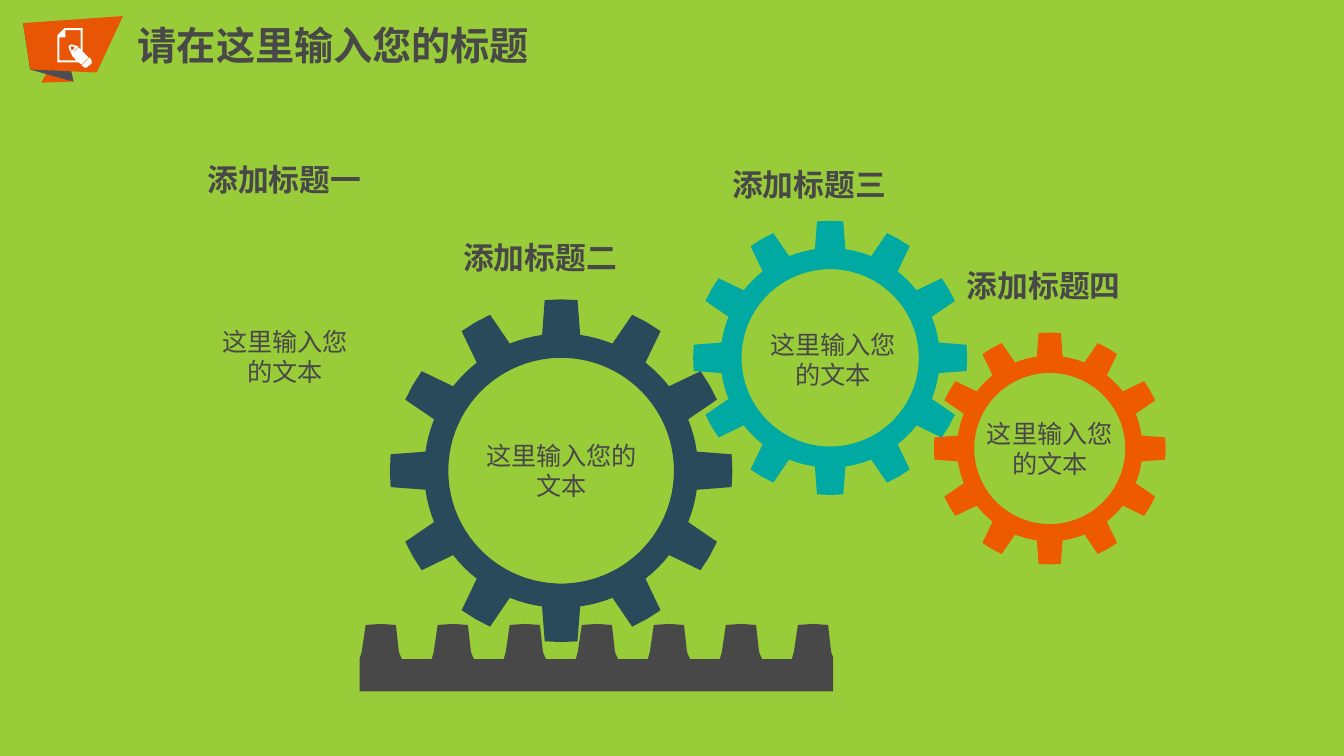
import math
from lxml import etree
from pptx import Presentation
from pptx import util as u
from pptx.dml.color import RGBColor
from pptx.enum import text
from pptx.oxml import ns

LIME = RGBColor(0x99, 0xCC, 0x39)
FLAME = RGBColor(0xE8, 0x55, 0x04)
SLATE = RGBColor(0x49, 0x4F, 0x54)
WHITE = RGBColor(0xFF, 0xFF, 0xFF)
CHARCOAL = RGBColor(0x48, 0x48, 0x49)
ORANGE = RGBColor(0xED, 0x5A, 0x00)
TEAL = RGBColor(0x00, 0xAA, 0xA2)
NAVY = RGBColor(0x29, 0x4A, 0x5A)
FONT = "Noto Sans CJK SC"

HEADING = {"size": u.Pt(22), "bold": True}
BODY = {"size": u.Pt(18), "bold": False}
FRAME = {"word_wrap": True, "auto_size": text.MSO_AUTO_SIZE.SHAPE_TO_FIT_TEXT}

deck = Presentation()
deck.slide_width, deck.slide_height = u.Inches(13.34), u.Inches(7.5)
page = deck.slides.add_slide(deck.slide_layouts[6])
page.background.fill.solid()
page.background.fill.fore_color.rgb = LIME


def add_outline(contours, colour):
    scaled = [[(u.Inches(x), u.Inches(y)) for x, y in contour] for contour in contours]
    builder = page.shapes.build_freeform(*scaled[0][0])
    builder.add_line_segments(scaled[0][1:])
    for contour in scaled[1:]:
        builder.move_to(*contour[0])
        builder.add_line_segments(contour[1:])
    shape = builder.convert_to_shape()
    shape.shadow.inherit = False
    shape.fill.solid()
    shape.fill.fore_color.rgb = colour
    shape.line.fill.background()


def add_label(wording, place, style, align=text.PP_ALIGN.LEFT):
    box = page.shapes.add_textbox(*(u.Inches(length) for length in place))
    for name, value in FRAME.items():
        setattr(box.text_frame, name, value)
    para = box.text_frame.paragraphs[0]
    para.alignment = align
    span = para.add_run()
    span.text = wording
    for name, value in {"name": FONT, **style}.items():
        setattr(span.font, name, value)
    span.font.color.rgb = CHARCOAL
    etree.SubElement(span.font._element, ns.qn("a:ea"), typeface=FONT)


add_outline([[(0.73, 0.81), (0.64, 0.41), (0.41, 0.82)]], FLAME)
add_outline([[(0.64, 0.41), (0.23, 0.23), (0.3, 0.69), (0.73, 0.81)]], SLATE)
add_outline([[(1.22, 0.16), (0.23, 0.23), (0.3, 0.69), (0.96, 0.72)]], FLAME)

pencil_end = [(0.91, 0.63), (0.86, 0.67), (0.84, 0.67), (0.81, 0.65), (0.89, 0.57), (0.91, 0.6)]
sheet_inside = [(0.8, 0.3), (0.65, 0.3), (0.65, 0.37), (0.59, 0.37), (0.59, 0.6), (0.76, 0.6),
                (0.72, 0.56), (0.71, 0.54), (0.78, 0.47), (0.8, 0.49)]
sheet_edge = [(0.82, 0.63), (0.81, 0.64), (0.78, 0.62), (0.57, 0.62), (0.57, 0.35), (0.64, 0.28),
              (0.82, 0.28), (0.82, 0.51), (0.88, 0.57)]
nib_inside = [(0.72, 0.46), (0.7, 0.46), (0.71, 0.5), (0.73, 0.49), (0.74, 0.47)]
nib_edge = [(0.74, 0.5), (0.71, 0.54), (0.68, 0.47), (0.69, 0.45), (0.71, 0.44), (0.78, 0.46)]
add_outline([pencil_end, sheet_inside, sheet_edge, nib_inside, nib_edge], WHITE)

add_label("请在这里输入您的标题", (1.27, 0.16, 5.51, 0.57), {"size": u.Pt(28), "bold": True})

gears = [
    (10.42, 4.45, 1.15, 0.75, ORANGE),
    (8.24, 3.55, 1.36, 0.88, TEAL),
    (5.57, 4.67, 1.7, 1.12, NAVY),
]
for centre_x, centre_y, tip, hole, colour in gears:
    root = tip * 0.8
    rim = [(radius, tooth * 30 + angle)
           for tooth in range(12)
           for radius, angle in [(tip, -5.5), (tip, 0), (tip, 5.5),
                                 (root, 8), (root, 11.5), (root, 15), (root, 18.5), (root, 22)]]
    bore = [(hole, -angle) for angle in range(0, 360, 4)]
    add_outline([[(centre_x + radius * math.cos(math.radians(angle)),
                   centre_y + radius * math.sin(math.radians(angle)))
                  for radius, angle in ring] for ring in (rim, bore)], colour)

for left, top, width in [(4.66, 4.32, 1.83), (2.01, 3.19, 1.64), (7.45, 3.22, 1.64), (9.6, 4.1, 1.64)]:
    add_label("这里输入您的文本", (left, top, width, 0.71), BODY, text.PP_ALIGN.CENTER)

for number, left, top in [("一", 1.96, 1.55), ("二", 4.5, 2.32), ("三", 7.17, 1.6), ("四", 9.5, 2.6)]:
    add_label("添加标题" + number, (left, top, 1.93, 0.47), HEADING)

tooth_profile = [(-0.19, 6.47), (-0.15, 6.2), (0, 6.19), (0.15, 6.2), (0.18, 6.47), (0.21, 6.54)]
rack = [(3.57, 6.86), (3.57, 6.53)]
for tooth in range(7):
    middle = 3.78 + tooth * 4.29 / 6
    if tooth:
        rack.append((middle - 0.5 + 0.29, 6.54))
    rack += [(middle + x, y) for x, y in tooth_profile if middle + x < 8.27]
rack += [(8.27, 6.52), (8.27, 6.86)]
add_outline([rack], CHARCOAL)

deck.save("out.pptx")
